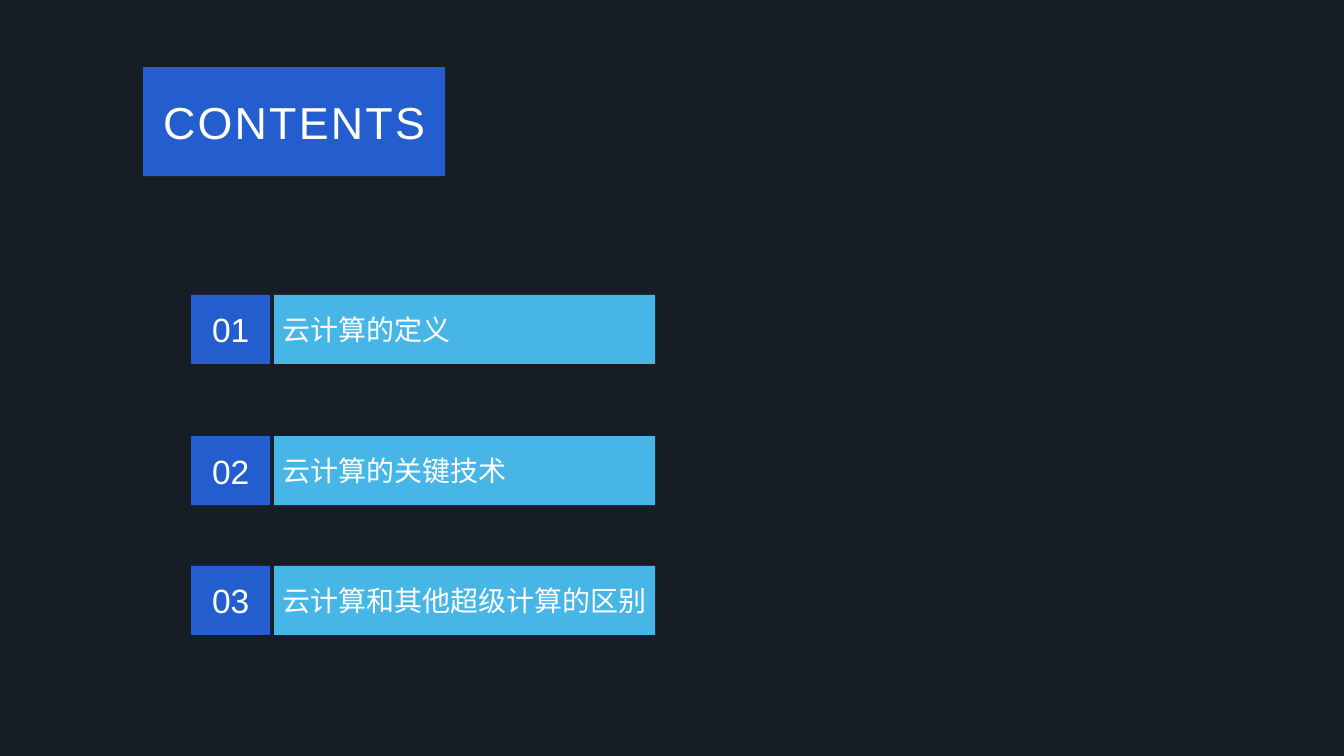
from pptx import Presentation
from pptx import util as u
from pptx.dml.color import RGBColor
from pptx.enum import shapes, text

TITLE = "CONTENTS"
TITLE_BOX = (3.61, 1.69, 7.61, 2.75)
CHAPTERS = [
    ("云计算的定义", 7.43),
    ("云计算的关键技术", 10.99),
    ("云计算和其他超级计算的区别", 14.26),
]
COLORS = {"back": "171D25", "blue": "245ECE", "sky": "47B6E7", "text": "FFFFFF"}
FONT = "Arial"
LEFT, NUMBER_W, GAP, LABEL_W, ROW_H = 4.82, 1.99, 0.1, 9.6, 1.74


def rgb(name):
    return RGBColor.from_string(COLORS[name])


def place(sp, left, top, width, height):
    sp.left, sp.top, sp.width, sp.height = map(u.Cm, (left, top, width, height))


def style(sp, words, fill, size, align):
    sp.fill.solid()
    sp.fill.fore_color.rgb = rgb(fill)
    sp.line.fill.background()
    tf = sp.text_frame
    tf.text = words
    tf.word_wrap = True
    tf.auto_size = text.MSO_AUTO_SIZE.NONE
    tf.vertical_anchor = text.MSO_ANCHOR.MIDDLE
    p = tf.paragraphs[0]
    p.alignment = align
    p.font.size = u.Pt(size)
    p.font.name = FONT
    p.font.color.rgb = rgb("text")
    return tf


def add_bar(group, box, words, fill, size, align, inset=0):
    sp = group.shapes.add_shape(shapes.MSO_SHAPE.RECTANGLE, 0, 0, 0, 0)
    place(sp, *box)
    sp.shadow.inherit = False
    tf = style(sp, words, fill, size, align)
    tf.margin_left = u.Cm(inset)
    tf.margin_right = tf.margin_top = tf.margin_bottom = 0


def main():
    prs = Presentation()
    prs.slide_width, prs.slide_height = u.Cm(33.87), u.Cm(19.05)
    s = prs.slides.add_slide(prs.slide_layouts[5])
    s.background.fill.solid()
    s.background.fill.fore_color.rgb = rgb("back")

    title = s.shapes.title
    place(title, *TITLE_BOX)
    tf = style(title, TITLE, "blue", 32, text.PP_ALIGN.CENTER)
    tf.paragraphs[0].runs[0].font._element.set("spc", "160")

    label_left = LEFT + NUMBER_W + GAP
    for number, (label, top) in enumerate(CHAPTERS, 1):
        group = s.shapes.add_group_shape()
        add_bar(group, (LEFT, top, NUMBER_W, ROW_H), f"{number:02}",
                "blue", 24, text.PP_ALIGN.CENTER)
        add_bar(group, (label_left, top, LABEL_W, ROW_H), label,
                "sky", 20, text.PP_ALIGN.LEFT, inset=0.2)
        group.left, group.top = u.Cm(LEFT), u.Cm(top)
        group.width, group.height = u.Cm(NUMBER_W + GAP + LABEL_W), u.Cm(ROW_H)
        xfrm = group._element.grpSpPr.xfrm
        xfrm.chOff.x, xfrm.chOff.y = group.left, group.top
        xfrm.chExt.cx, xfrm.chExt.cy = group.width, group.height

    prs.save("out.pptx")


if __name__ == "__main__":
    main()
